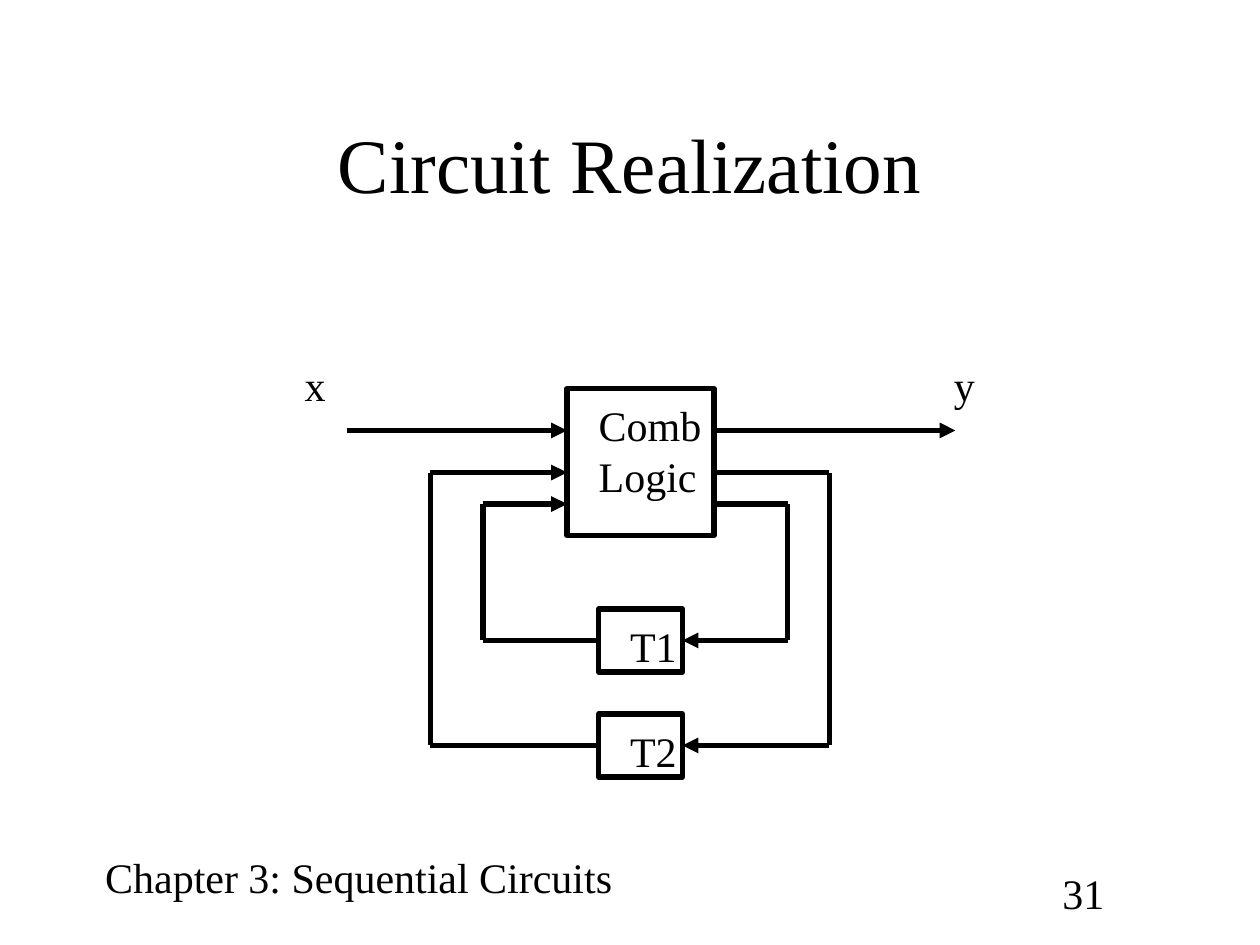
import pptx
import pptx.dml.color
import pptx.enum.shapes
import pptx.enum.text
import pptx.oxml.xmlchemy
import pptx.util

Pt = pptx.util.Pt
BLACK = pptx.dml.color.RGBColor(0x00, 0x00, 0x00)
FONT = "Times New Roman"
LINE_WIDTH = 3
LEFT_SIDE, RIGHT_SIDE = 1, 3


def add_label(slide, box, text, size=24, wrap=False):
    left, top, width, height = box
    shape = slide.shapes.add_textbox(Pt(left), Pt(top), Pt(width), Pt(height))
    frame = shape.text_frame
    frame.word_wrap = wrap
    if not wrap:
        frame.auto_size = pptx.enum.text.MSO_AUTO_SIZE.SHAPE_TO_FIT_TEXT
    frame.text = text
    for paragraph in frame.paragraphs:
        for run in paragraph.runs:
            run.font.name = FONT
            run.font.size = Pt(size)
            run.font.color.rgb = BLACK
    return frame


def add_block(slide, left, top, width, height):
    shape = slide.shapes.add_shape(
        pptx.enum.shapes.MSO_SHAPE.RECTANGLE, Pt(left), Pt(top), Pt(width), Pt(height))
    shape.shadow.inherit = False
    shape.fill.background()
    shape.line.color.rgb = BLACK
    shape.line.width = Pt(LINE_WIDTH)
    return shape


def add_wire(slide, points, arrow=False):
    """Join successive points with straight lines; the last may carry an arrowhead."""
    wires = []
    for (start_x, start_y), (end_x, end_y) in zip(points, points[1:]):
        wire = slide.shapes.add_connector(
            pptx.enum.shapes.MSO_CONNECTOR.STRAIGHT,
            Pt(start_x), Pt(start_y), Pt(end_x), Pt(end_y))
        wire.line.color.rgb = BLACK
        wire.line.width = Pt(LINE_WIDTH)
        wire._element.spPr.append(pptx.oxml.xmlchemy.OxmlElement("a:effectLst"))
        wires.append(wire)
    if arrow:
        head = pptx.oxml.xmlchemy.OxmlElement("a:tailEnd")
        head.set("type", "triangle")
        wires[-1]._element.spPr.ln.append(head)
    return wires


def add_title(slide, box):
    frame = add_label(slide, box, "Circuit Realization", size=44, wrap=True)
    frame.vertical_anchor = pptx.enum.text.MSO_ANCHOR.MIDDLE
    frame.paragraphs[0].alignment = pptx.enum.text.PP_ALIGN.CENTER


def add_footer(slide, left, top):
    add_label(slide, (left, top, 322, 36), "Chapter 3: Sequential Circuits")
    add_label(slide, (left + 547, top + 9, 66, 36), "31", wrap=True)


def add_feedback(slide, name, block_box, logic_sides, row, lanes):
    """Add a state block and the loop through it, from the logic and back."""
    left, top, width, height = block_box
    logic_left, logic_right = logic_sides
    lane_left, lane_right = lanes
    middle = top + height / 2
    block = add_block(slide, *block_box)
    into_block = add_wire(slide, [(logic_right, row), (lane_right, row),
                                  (lane_right, middle), (left + width, middle)], arrow=True)
    into_block[-1].end_connect(block, RIGHT_SIDE)
    back = add_wire(slide, [(left, middle), (lane_left, middle),
                            (lane_left, row), (logic_left, row)], arrow=True)
    back[0].begin_connect(block, LEFT_SIDE)
    add_label(slide, (left + 11, top + 3, 41, 36), name)


def add_circuit(slide, left, top, width):
    logic_size = 84
    logic_left = left + 126
    logic_right = logic_left + logic_size
    input_row = top + 24

    add_block(slide, logic_left, top, logic_size, logic_size)
    add_label(slide, (logic_left + 11, top + 3, 73, 65), "Comb\nLogic")

    add_wire(slide, [(left, input_row), (logic_left, input_row)], arrow=True)
    add_wire(slide, [(logic_right, input_row), (left + width, input_row)], arrow=True)
    add_label(slide, (left - 31, top - 20, 26, 36), "x")
    add_label(slide, (left + width - 8, top - 20, 26, 36), "y")

    loops = [("T1", 126, 66, (78, 252)), ("T2", 186, 48, (48, 276))]
    for name, block_top, row, lanes in loops:
        add_feedback(slide, name, (left + 144, top + block_top, 48, 36),
                     (logic_left, logic_right), top + row,
                     [left + lane for lane in lanes])


def main():
    presentation = pptx.Presentation()
    presentation.slide_width = Pt(720)
    presentation.slide_height = Pt(540)
    slide = presentation.slides.add_slide(presentation.slide_layouts[6])
    add_footer(slide, 53, 483)
    add_title(slide, (54, 48, 612, 90))
    add_circuit(slide, 198, 222, 348)
    presentation.save("out.pptx")


if __name__ == "__main__":
    main()
